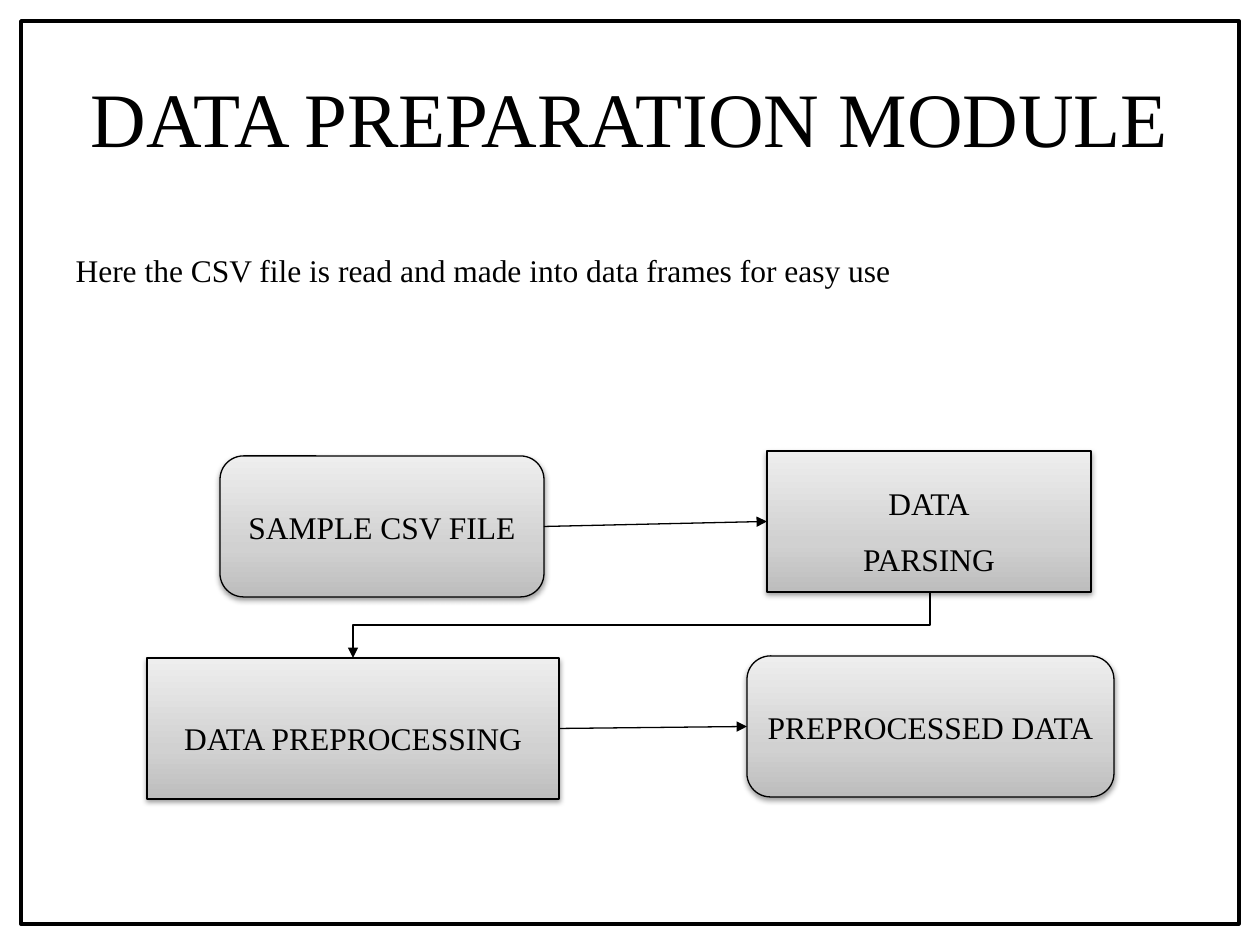
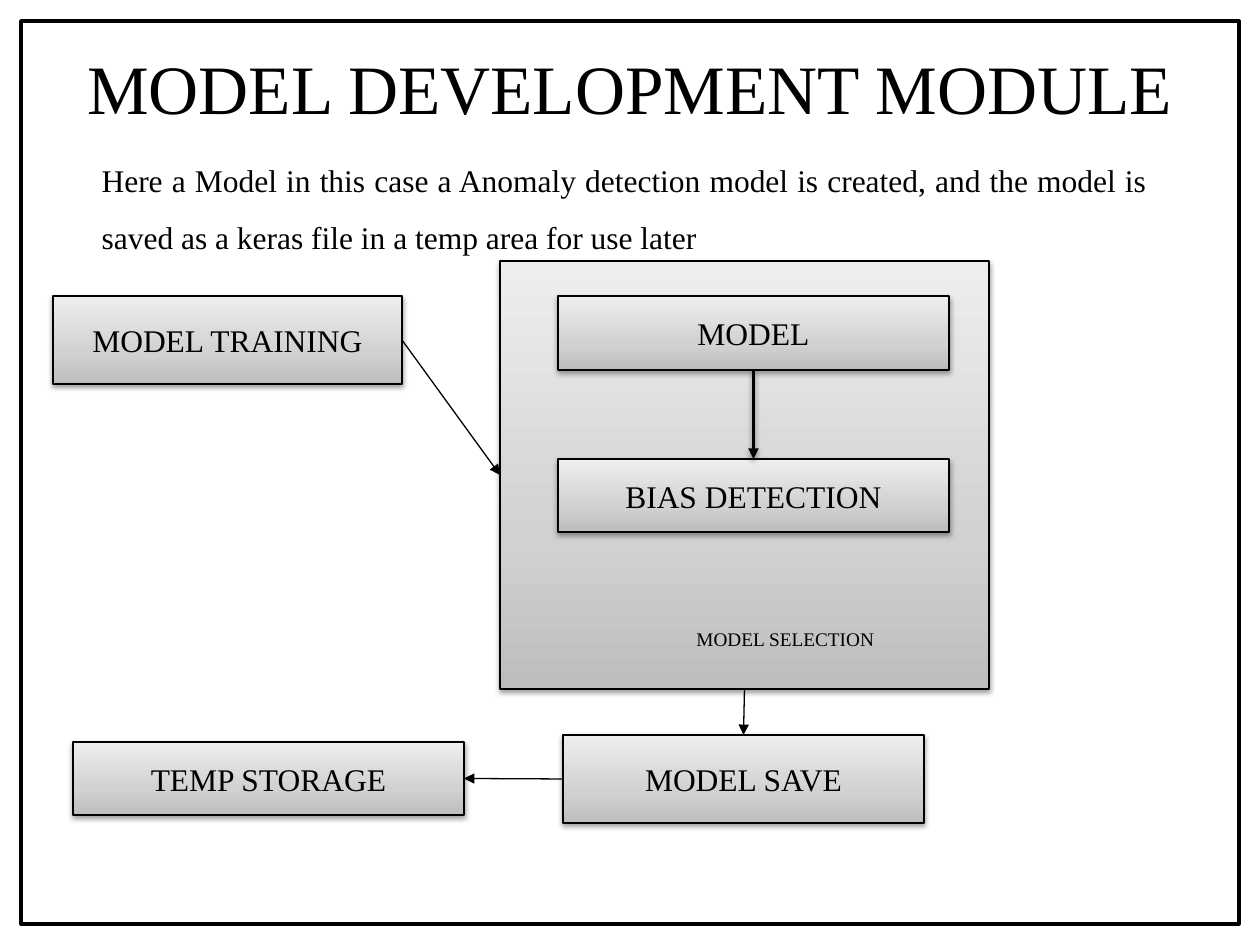
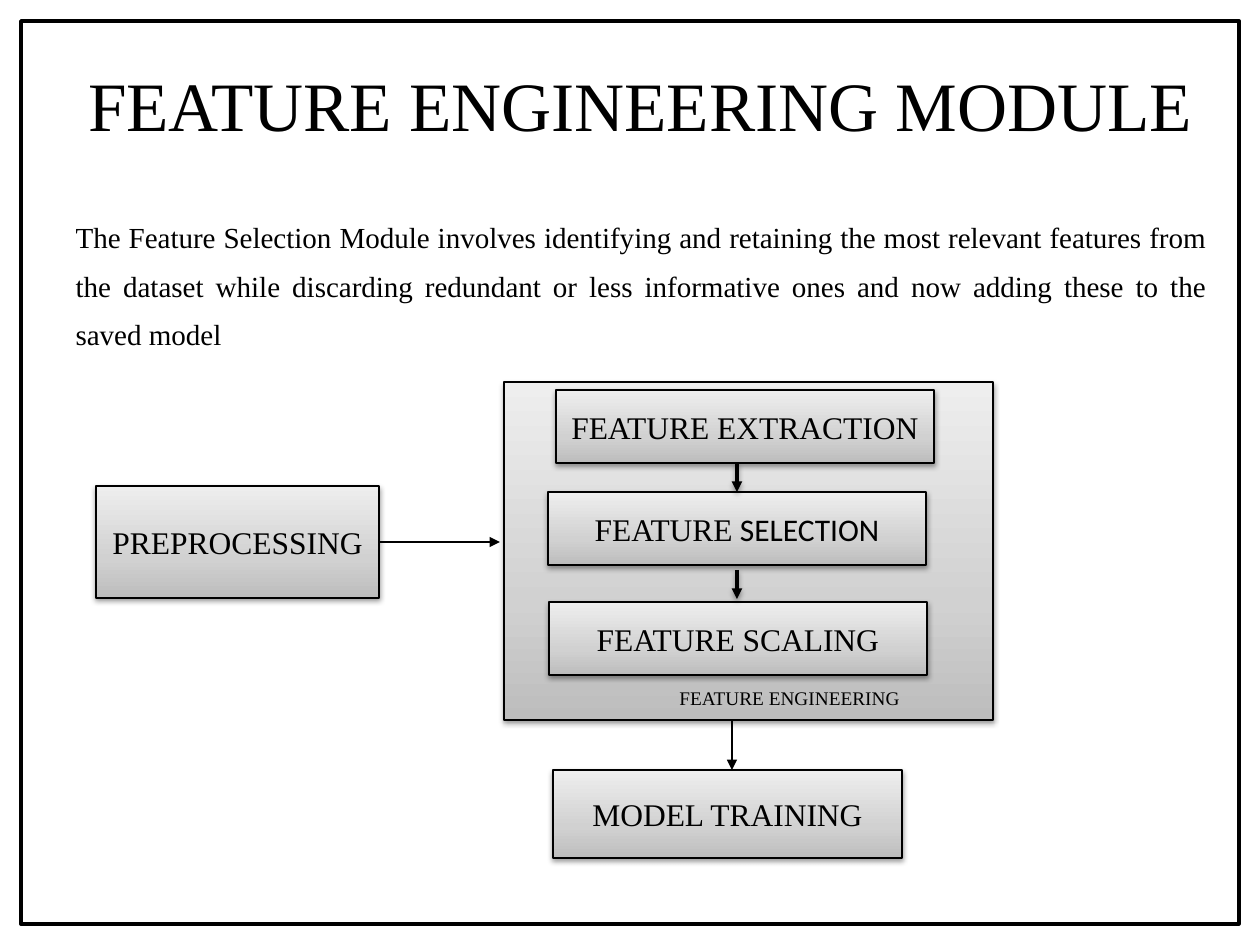
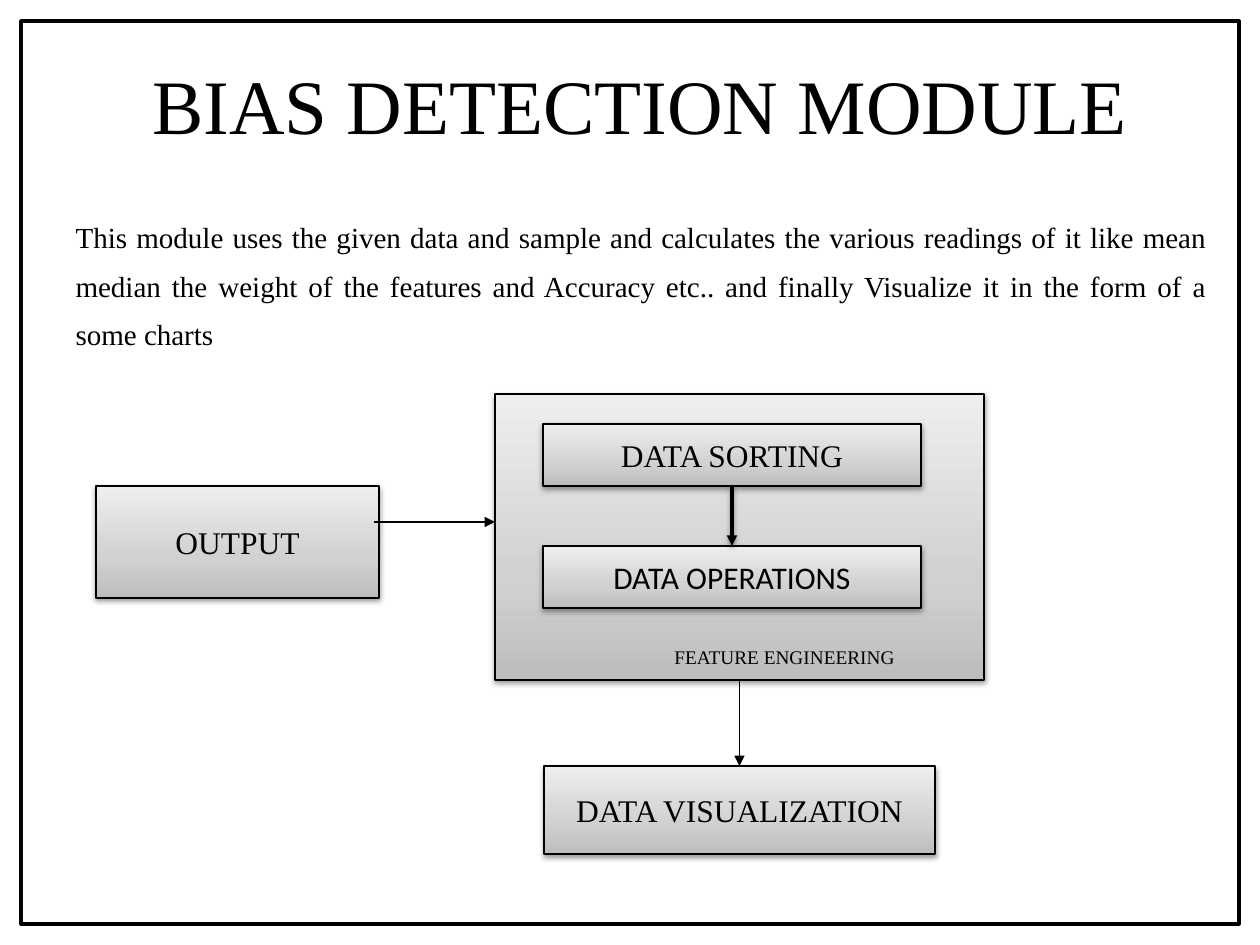
from lxml import etree
from pptx import Presentation
from pptx.dml.color import RGBColor
from pptx.enum.shapes import MSO_CONNECTOR, MSO_SHAPE
from pptx.enum.text import MSO_AUTO_SIZE, PP_ALIGN
from pptx.oxml import parse_xml
from pptx.oxml.ns import nsdecls, qn
from pptx.util import Emu, Pt

BLACK = RGBColor(0, 0, 0)
DARK = RGBColor(0xBD, 0xBD, 0xBD)
MID = RGBColor(0xD1, 0xD1, 0xD1)
LIGHT = RGBColor(0xEE, 0xEE, 0xEE)
SERIF, SANS = "Times New Roman", "Calibri"
RECT, ROUND = MSO_SHAPE.RECTANGLE, MSO_SHAPE.ROUNDED_RECTANGLE
LINE, ELBOW = MSO_CONNECTOR.STRAIGHT, MSO_CONNECTOR.ELBOW
LEFT, CENTER, JUST = PP_ALIGN.LEFT, PP_ALIGN.CENTER, PP_ALIGN.JUSTIFY
FIXED, GROW = MSO_AUTO_SIZE.NONE, MSO_AUTO_SIZE.SHAPE_TO_FIT_TEXT
TOP, WEST, BASE, EAST = range(4)
THIN, THICK = 0.75, 2
SCALE = 914400 / 126

STOPS = "".join(
    f'<a:gs pos="{pos}"><a:srgbClr val="{tone}"/></a:gs>'
    for pos, tone in ((0, DARK), (35000, MID), (100000, LIGHT)))
GRAD = (f'<a:gradFill {nsdecls("a")} rotWithShape="1"><a:gsLst>{STOPS}</a:gsLst>'
        '<a:lin ang="16200000" scaled="0"/></a:gradFill>')
SHADOW = (f'<a:effectLst {nsdecls("a")}><a:outerShdw blurRad="40000" dist="20000" '
          f'dir="5400000" rotWithShape="0"><a:srgbClr val="{BLACK}">'
          '<a:alpha val="38000"/></a:srgbClr></a:outerShdw></a:effectLst>')


def px(*vals):
    return [Emu(round(val * SCALE)) for val in vals]


def write(frame, text, size=18, font=SERIF, align=CENTER, space=None, level=0):
    """Fill a frame: a newline starts a paragraph, a bar starts a run in SANS."""
    for row, line in enumerate(text.split("\n")):
        para = frame.add_paragraph() if row else frame.paragraphs[0]
        para.alignment = align
        para.level = level
        if space:
            para.line_spacing = space
        for part, words in enumerate(line.split("|")):
            run = para.add_run()
            run.text = words
            run.font.size = Pt(size)
            run.font.name = SANS if part else font
            run.font.color.rgb = BLACK


WIDE = {"space": 1.5}
NOTE = {"size": 16.6, "space": 1.4}
# Boxes: name, preset, place, text, format. Arrows: start, end, width, where
# an end is either a point or a box name with a side.
PAGES = [
    {
        "title": ("DATA PREPARATION MODULE", 44, (63, 38, 1134, 158)),
        "body": ("Here the CSV file is read and made into data frames for easy use",
                 WIDE, (63, 226, 1134, 624)),
        "boxes": [
            ("sample", ROUND, (220, 456, 324, 141), "SAMPLE CSV FILE", {}),
            ("result", ROUND, (747, 656, 367, 141), "PREPROCESSED DATA", {}),
            ("parse", RECT, (767, 451, 324, 141), "DATA\nPARSING", WIDE),
            ("prep", RECT, (147, 658, 412, 141), "DATA PREPROCESSING", WIDE),
        ],
        "arrows": [
            (("sample", EAST), ("parse", WEST), THIN),
            (("prep", EAST), ("result", WEST), THIN),
        ],
        "bend": ((930, 592), (353, 658)),
    },
    {
        "title": ("MODEL DEVELOPMENT MODULE", 39.6, (63, 8, 1134, 158)),
        "body": ("Here a Model in this case a Anomaly detection model is created, "
                 "and the model is saved as a keras file in a temp area for use later",
                 {"space": 1.5, "level": 1}, (26, 136, 1134, 277)),
        "boxes": [
            ("train", RECT, (53, 296, 349, 88), "MODEL TRAINING", {}),
            ("group", RECT, (500, 261, 489, 428), "", {}),
            ("save", RECT, (563, 735, 361, 88), "MODEL SAVE", {}),
            ("model", RECT, (558, 296, 391, 74), "MODEL", {}),
            ("bias", RECT, (558, 459, 391, 73), "BIAS DETECTION", {}),
            ("store", RECT, (73, 742, 391, 73), "TEMP STORAGE", {}),
        ],
        "label": ("MODEL SELECTION", (684, 621, 213, 37)),
        "arrows": [
            (("train", EAST), ("group", WEST), THIN),
            (("group", BASE), ("save", TOP), THIN),
            (("model", BASE), ("bias", TOP), THICK),
            (("save", WEST), ("store", EAST), THIN),
        ],
    },
    {
        "title": ("FEATURE ENGINEERING MODULE", 39.6, (63, 25, 1155, 158)),
        "body": ("The Feature Selection Module involves identifying and retaining "
                 "the most relevant features from the dataset while discarding "
                 "redundant or less informative ones and now adding these to the "
                 "saved model", NOTE, (63, 199, 1155, 166)),
        "boxes": [
            ("prep", RECT, (96, 486, 283, 112), "PREPROCESSING", {}),
            ("group", RECT, (504, 382, 489, 338), "", {}),
            ("extract", RECT, (556, 390, 378, 73), "FEATURE EXTRACTION", {}),
            ("select", RECT, (548, 492, 378, 73), "FEATURE| SELECTION", {}),
            ("scale", RECT, (549, 602, 378, 73), "FEATURE SCALING", {}),
            ("train", RECT, (553, 770, 349, 88), "MODEL TRAINING", {}),
        ],
        "label": ("FEATURE ENGINEERING", (667, 680, 251, 37)),
        "arrows": [
            ((737, 463), ("select", TOP), THICK),
            ((737, 570), (737, 599), THICK),
            (("prep", EAST), (500, 542), THIN),
            ((732, 720), (732, 770), THIN),
        ],
    },
    {
        "title": ("BIAS DETECTION MODULE", 44, (63, 25, 1155, 158)),
        "body": ("This module uses the given data and sample and calculates the "
                 "various readings of it like mean median the weight of the features "
                 "and Accuracy etc.. and finally Visualize it in the form of a some "
                 "charts", NOTE, (63, 199, 1155, 166)),
        "boxes": [
            ("output", RECT, (96, 486, 283, 112), "OUTPUT", {}),
            ("group", RECT, (495, 394, 489, 286), "", {}),
            ("sort", RECT, (543, 424, 378, 62), "DATA SORTING", {}),
            ("work", RECT, (543, 546, 378, 62), "DATA OPERATIONS", {"font": SANS}),
            ("view", RECT, (544, 766, 391, 88), "DATA VISUALIZATION", {}),
        ],
        "label": ("FEATURE ENGINEERING", (662, 639, 251, 30)),
        "arrows": [
            (("sort", BASE), ("work", TOP), THICK),
            ((374, 522), (495, 522), THIN),
            (("group", BASE), ("view", TOP), THIN),
        ],
    },
]

deck = Presentation()
deck.slide_width, deck.slide_height = px(1260, 945)

for page in PAGES:
    slide = deck.slides.add_slide(deck.slide_layouts[1])
    shapes = slide.shapes
    title, body = shapes.title, slide.placeholders[1]

    text, size, place = page["title"]
    title.left, title.top, title.width, title.height = px(*place)
    title.text_frame.auto_size = FIXED
    write(title.text_frame, text, size=size)

    text, form, place = page["body"]
    body.left, body.top, body.width, body.height = px(*place)
    body.text_frame.auto_size = FIXED
    write(body.text_frame, text, align=JUST, **form)
    props = body.text_frame.paragraphs[0]._p.get_or_add_pPr()
    props.set("marL", str(457200 * form.get("level", 0)))
    props.set("indent", "0")
    etree.SubElement(props, qn("a:buNone"))

    frame = shapes.add_shape(RECT, *px(21, 21, 1218, 903))
    frame.shadow.inherit = False
    frame.fill.background()
    frame.line.color.rgb = BLACK
    frame.line.width = Pt(2)

    boxes = {}
    for name, kind, place, text, form in page["boxes"]:
        box = boxes[name] = shapes.add_shape(kind, *px(*place))
        box.line.color.rgb = BLACK
        box.line.width = Pt(THIN)
        props = box._element.spPr
        props.insert(2, parse_xml(GRAD))
        props.append(parse_xml(SHADOW))
        if text:
            write(box.text_frame, text, **form)

    if "label" in page:
        text, place = page["label"]
        label = shapes.add_textbox(*px(*place)).text_frame
        label.word_wrap = False
        label.auto_size = GROW
        write(label, text, size=11, align=LEFT)

    arrows = []
    for start, end, width in page["arrows"]:
        points = [(0, 0) if isinstance(spot[0], str) else spot for spot in (start, end)]
        arrow = shapes.add_connector(LINE, *px(*points[0], *points[1]))
        for spot, join in ((start, arrow.begin_connect), (end, arrow.end_connect)):
            if isinstance(spot[0], str):
                join(boxes[spot[0]], spot[1])
        arrows.append((arrow, width))

    if "bend" in page:
        # An elbow that leaves downwards is a flat elbow turned by 90 degrees.
        (x1, y1), (x2, y2) = page["bend"]
        midx, midy = (x1 + x2) / 2, (y1 + y2) / 2
        halfx, halfy = (x1 - x2) / 2, (y2 - y1) / 2
        bend = shapes.add_connector(ELBOW, *px(midx - halfy, midy - halfx,
                                               midx + halfy, midy + halfx))
        bend._element.spPr.xfrm.set("rot", "5400000")
        arrows.append((bend, THIN))

    for arrow, width in arrows:
        arrow.line.color.rgb = BLACK
        arrow.line.width = Pt(width)
        props = arrow._element.spPr
        etree.SubElement(props.find(qn("a:ln")), qn("a:tailEnd"), type="triangle")
        if width == THICK:
            props.append(parse_xml(SHADOW))
        else:
            etree.SubElement(props, qn("a:effectLst"))

deck.save("out.pptx")
